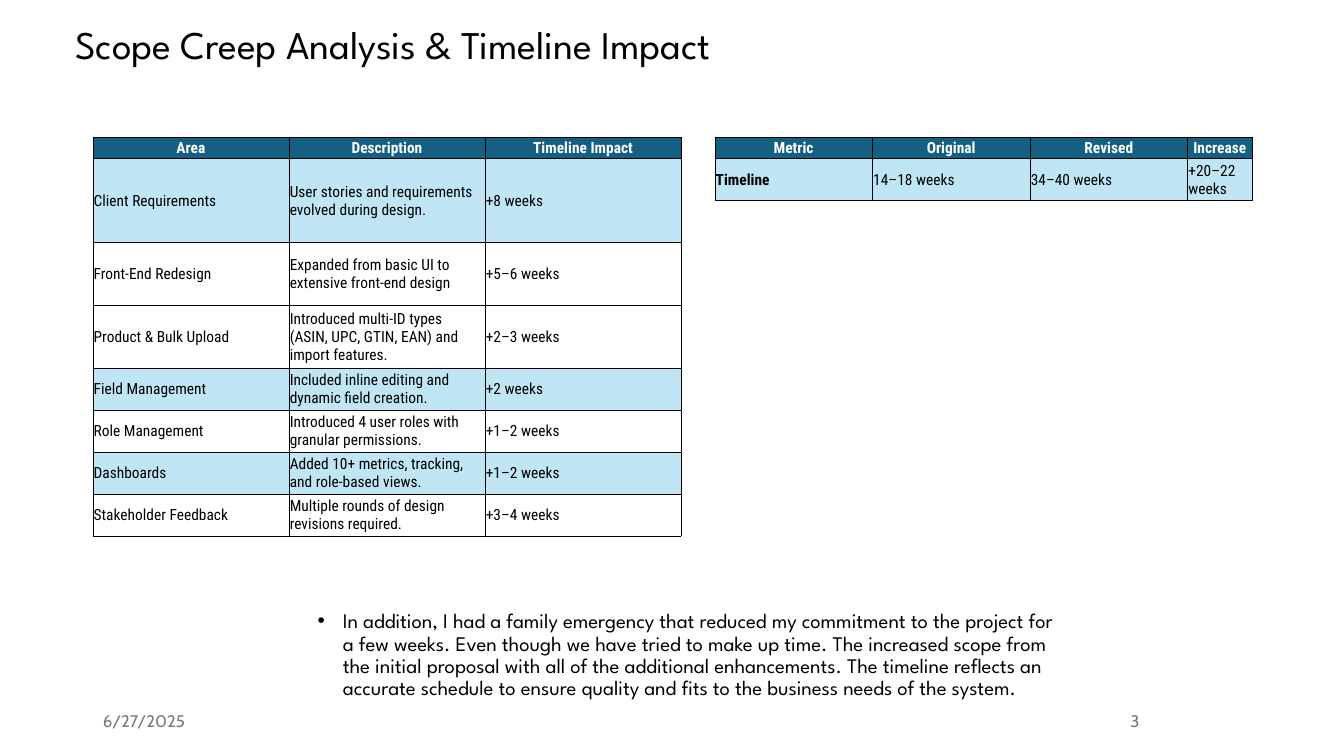
from lxml import etree
from pptx import Presentation
from pptx import util as u
from pptx.dml.color import RGBColor
from pptx.enum import text
from pptx.oxml.ns import qn

BLACK, WHITE, GREY = "000000", "FFFFFF", "797979"
HEADER_BLUE, BAND_BLUE = "156082", "C0E6F5"
SIDES = ("a:lnL", "a:lnR", "a:lnT", "a:lnB")

SCOPE_CHANGES = [
    ("Area", "Description", "Timeline Impact"),
    ("Client Requirements", "User stories and requirements evolved during design.", "+8 weeks"),
    ("Front-End Redesign", "Expanded from basic UI to extensive front-end design", "+5–6 weeks"),
    ("Product & Bulk Upload",
     "Introduced multi-ID types (ASIN, UPC, GTIN, EAN) and import features.", "+2–3 weeks"),
    ("Field Management", "Included inline editing and dynamic field creation.", "+2 weeks"),
    ("Role Management", "Introduced 4 user roles with granular permissions.", "+1–2 weeks"),
    ("Dashboards", "Added 10+ metrics, tracking, and role-based views.", "+1–2 weeks"),
    ("Stakeholder Feedback", "Multiple rounds of design revisions required.", "+3–4 weeks"),
]
TIMELINE = [
    ("Metric", "Original", "Revised", "Increase"),
    ("Timeline", "14–18 weeks", "34–40 weeks", "+20–22 weeks"),
]
EXPLANATION = (
    "In addition, I had a family emergency that reduced my commitment to the project for "
    "a few weeks. Even though we have tried to make up time. The increased scope from the "
    "initial proposal with all of the additional enhancements. The timeline reflects an "
    "accurate schedule to ensure quality and fits to the business needs of the system."
)


def colour(value):
    """Turn a hex string into a colour."""
    return RGBColor.from_string(value)


def apply(target, formats):
    """Set each attribute in a dict of format values."""
    for name, value in formats.items():
        setattr(target, name, value)


def style_text(paragraph, words, size, family, ink, bold=False, **layout):
    """Write one run in a paragraph and format both."""
    run = paragraph.add_run()
    run.text = words
    apply(run.font, {"size": u.Pt(size), "name": family, "bold": bold})
    run.font.color.rgb = colour(ink)
    apply(paragraph, layout)


def add_bullet(paragraph):
    """Give a paragraph a hanging round bullet."""
    properties = paragraph._p.get_or_add_pPr()
    properties.set("marL", str(u.Cm(0.64)))
    properties.set("indent", str(-u.Cm(0.64)))
    etree.SubElement(properties, qn("a:buFont"), typeface="Arial")
    etree.SubElement(properties, qn("a:buChar"), char="•")


def add_words(slide, box, words, size, family, ink, middle=False, bullet=False, **layout):
    """Add a wrapped text box holding one paragraph."""
    frame = slide.shapes.add_textbox(*map(u.Cm, box)).text_frame
    anchor = text.MSO_ANCHOR.MIDDLE if middle else text.MSO_ANCHOR.TOP
    apply(frame, {"word_wrap": True, "vertical_anchor": anchor})
    paragraph = frame.paragraphs[0]
    if bullet:
        add_bullet(paragraph)
    style_text(paragraph, words, size, family, ink, **layout)


def add_borders(cell):
    """Draw a thin black line on every side of a cell."""
    properties = cell._tc.get_or_add_tcPr()
    for position, side in enumerate(SIDES):
        line = etree.Element(qn(side), w=str(u.Pt(0.5)))
        fill = etree.SubElement(line, qn("a:solidFill"))
        etree.SubElement(fill, qn("a:srgbClr"), val=BLACK)
        properties.insert(position, line)


def fill_cell(cell, words, fill, header, bold):
    """Fill, frame and letter one table cell."""
    apply(cell, {
        "margin_left": u.Cm(0.02), "margin_right": u.Cm(0.02),
        "margin_top": u.Cm(0.02), "margin_bottom": 0,
        "vertical_anchor": text.MSO_ANCHOR.MIDDLE,
    })
    if fill:
        cell.fill.solid()
        cell.fill.fore_color.rgb = colour(fill)
    else:
        cell.fill.background()
    add_borders(cell)
    style_text(cell.text_frame.paragraphs[0], words, 11, "Roboto Condensed",
               WHITE if header else BLACK, bold,
               alignment=text.PP_ALIGN.CENTER if header else text.PP_ALIGN.LEFT)


def add_grid(slide, left, top, widths, heights, records, shaded, bold_labels=False):
    """Add a bordered table with a dark header and shaded rows."""
    table = slide.shapes.add_table(
        len(records), len(widths), u.Cm(left), u.Cm(top),
        u.Cm(sum(widths)), u.Cm(sum(heights))).table
    apply(table, {"first_row": False, "horz_banding": False})
    for column, width in zip(table.columns, widths):
        column.width = u.Cm(width)
    for row, height in zip(table.rows, heights):
        row.height = u.Cm(height)
    for r, record in enumerate(records):
        header = r == 0
        fill = HEADER_BLUE if header else BAND_BLUE if r in shaded else None
        for c, words in enumerate(record):
            bold = header or (bold_labels and c == 0)
            fill_cell(table.cell(r, c), words, fill, header, bold)


def main():
    """Build the scope creep slide."""
    deck = Presentation()
    apply(deck, {"slide_width": u.Cm(33.86), "slide_height": u.Cm(19.05)})
    slide = deck.slides.add_slide(deck.slide_layouts[6])

    add_words(slide, (1.65, 0.53, 29.21, 1.35), "Scope Creep Analysis & Timeline Impact",
              28, "League Spartan", BLACK, line_spacing=0.9)
    add_grid(slide, 2.34, 3.46, [4.94] * 3, [0.53, 2.12, 1.58, 1.58] + [1.06] * 4,
             SCOPE_CHANGES, shaded=(1, 4, 6))
    add_grid(slide, 18.01, 3.46, [3.97] * 3 + [1.62], [0.53, 1.06],
             TIMELINE, shaded=(1,), bold_labels=True)
    add_words(slide, (7.75, 15.27, 19.35, 3.4), EXPLANATION,
              14.8, "League Spartan", BLACK, bullet=True, line_spacing=0.9)
    add_words(slide, (2.34, 17.65, 7.62, 1.02), "6/27/2025", 12, "Cabin", GREY, middle=True)
    add_words(slide, (23.93, 17.65, 5.03, 1.02), "3", 12, "Cabin", GREY, middle=True,
              alignment=text.PP_ALIGN.RIGHT)
    deck.save("out.pptx")


if __name__ == "__main__":
    main()
